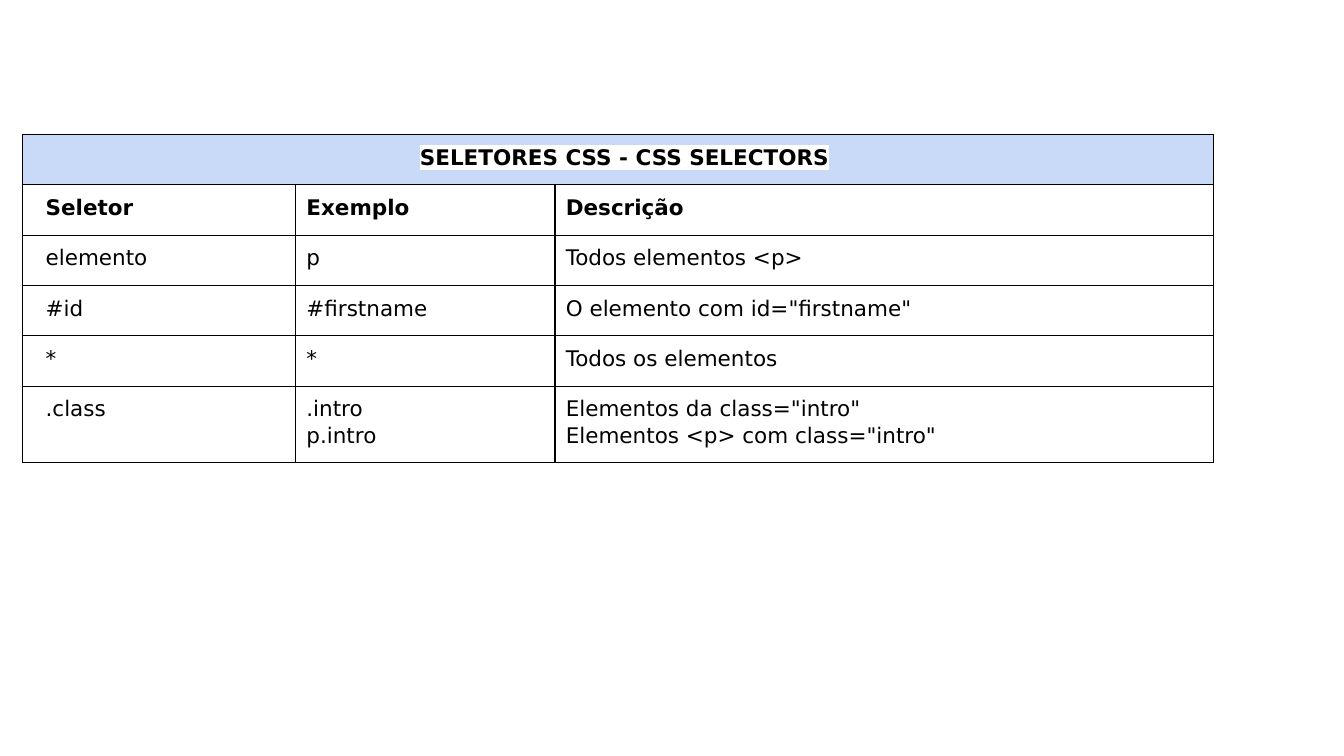
"""Build a one-slide table of CSS selectors."""

from dataclasses import dataclass

from lxml.etree import SubElement
from pptx import Presentation
from pptx.dml.color import RGBColor
from pptx.enum.text import PP_ALIGN
from pptx.oxml.ns import qn
from pptx.util import Inches, Pt

TITLE = "SELETORES CSS - CSS SELECTORS"
ROWS = [
    ("Seletor", "Exemplo", "Descrição"),
    ("elemento", "p", "Todos elementos <p>"),
    ("#id", "#firstname", 'O elemento com id="firstname"'),
    ("*", "*", "Todos os elementos"),
    (
        ".class",
        ".intro\np.intro",
        'Elementos da class="intro"\nElementos <p> com class="intro"',
    ),
]
SLIDE_WIDTH = 10
SLIDE_HEIGHT = SLIDE_WIDTH * 9 / 16
COLUMN_WIDTHS = (2.03, 1.93, 4.9)
ROW_HEIGHT, LAST_ROW_HEIGHT = 3 / 8, 0.57
LEFT, TOP = 0.17, 1
PADDING, FIRST_COLUMN_PADDING = 0.08, 0.17


@dataclass(frozen=True)
class Theme:
    font: str = "DejaVu Sans"
    size: float = 11.5
    spacing: float = 1
    border: float = 0.75
    ink: str = "000000"
    paper: str = "FFFFFF"
    title_fill: str = "C9DAF8"


THEME = Theme()


def add_borders(cell):
    properties = cell._tc.get_or_add_tcPr()
    for side in ("a:lnL", "a:lnR", "a:lnT", "a:lnB"):
        line = SubElement(properties, qn(side), w=str(Pt(THEME.border)))
        fill = SubElement(line, qn("a:solidFill"))
        SubElement(fill, qn("a:srgbClr"), val=THEME.ink)


def highlight(run, color):
    run.font.color.rgb = RGBColor.from_string(THEME.ink)
    marker = SubElement(run._r.get_or_add_rPr(), qn("a:highlight"))
    SubElement(marker, qn("a:srgbClr"), val=color)


def format_cell(cell, column, fill, bold):
    add_borders(cell)
    cell.fill.solid()
    cell.fill.fore_color.rgb = RGBColor.from_string(fill)
    cell.margin_left = Inches(PADDING if column else FIRST_COLUMN_PADDING)
    cell.margin_right = cell.margin_top = cell.margin_bottom = Inches(PADDING)
    paragraphs = cell.text_frame.paragraphs
    for paragraph in paragraphs:
        paragraph.space_before = Pt(THEME.spacing)
        paragraph.space_after = Pt(0)
        paragraph.font.name = THEME.font
        paragraph.font.size = Pt(THEME.size)
        paragraph.font.bold = bold
        paragraph.font.color.rgb = RGBColor.from_string(THEME.ink)
    paragraphs[-1].space_after = Pt(THEME.spacing)


def add_selector_table(slide):
    contents = [(TITLE, "", "")] + ROWS
    heights = [ROW_HEIGHT] * len(ROWS) + [LAST_ROW_HEIGHT]
    table = slide.shapes.add_table(
        len(contents), len(COLUMN_WIDTHS), Inches(LEFT), Inches(TOP),
        Inches(sum(COLUMN_WIDTHS)), Inches(sum(heights)),
    ).table
    table.first_row = table.horz_banding = False
    for column, width in zip(table.columns, COLUMN_WIDTHS):
        column.width = Inches(width)
    for row, height in zip(table.rows, heights):
        row.height = Inches(height)

    for row_index, texts in enumerate(contents):
        fill = THEME.paper if row_index else THEME.title_fill
        for column_index, text in enumerate(texts):
            cell = table.cell(row_index, column_index)
            cell.text = text
            format_cell(cell, column_index, fill, bold=row_index < 2)

    title_cell = table.cell(0, 0)
    title_cell.merge(table.cell(0, len(COLUMN_WIDTHS) - 1))
    paragraph = title_cell.text_frame.paragraphs[0]
    paragraph.alignment = PP_ALIGN.CENTER
    highlight(paragraph.runs[0], THEME.paper)


def main():
    presentation = Presentation()
    presentation.slide_width = Inches(SLIDE_WIDTH)
    presentation.slide_height = Inches(SLIDE_HEIGHT)
    slide = presentation.slides.add_slide(presentation.slide_layouts[6])
    add_selector_table(slide)
    presentation.save("out.pptx")


if __name__ == "__main__":
    main()
